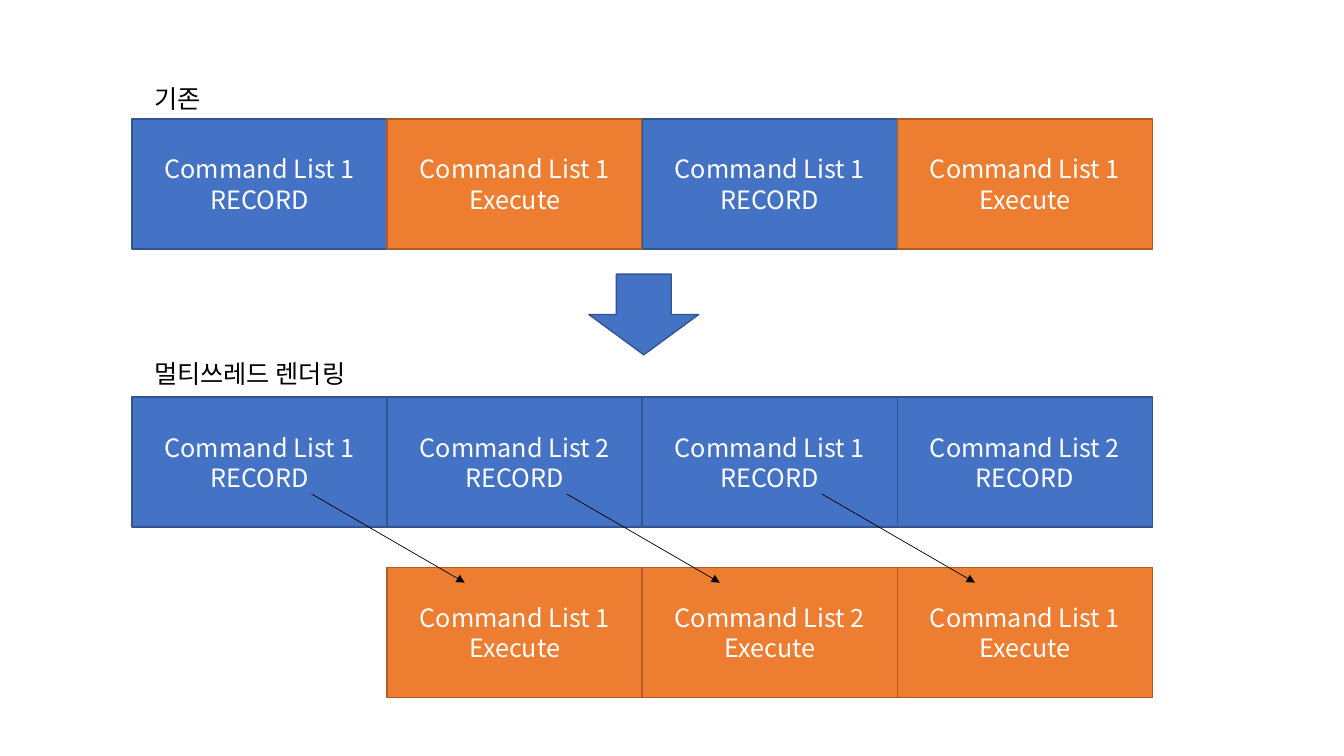
from lxml.etree import SubElement
from pptx import Presentation
from pptx.dml.color import RGBColor
from pptx.enum.shapes import MSO_CONNECTOR, MSO_SHAPE
from pptx.enum.text import MSO_ANCHOR, PP_ALIGN
from pptx.oxml.ns import qn
from pptx.util import Inches, Pt

COLORS = {
    "record": "4472C4", "record_edge": "325491",
    "execute": "ED7D31", "execute_edge": "AF5C24",
    "light": "FFFFFF", "dark": "000000",
}
FONT = "Noto Sans CJK KR"


def color(key):
    return RGBColor.from_string(COLORS[key])


def write(frame, text, size=18, ink="dark", align=PP_ALIGN.LEFT,
          anchor=MSO_ANCHOR.TOP, wrap=True, spacing=21.5):
    frame.word_wrap = wrap
    frame.vertical_anchor = anchor
    frame.text = text
    for paragraph in frame.paragraphs:
        paragraph.alignment = align
        paragraph.line_spacing = Pt(spacing)
        for run in paragraph.runs:
            run.font.name = FONT
            run.font.size = Pt(size)
            run.font.color.rgb = color(ink)
            SubElement(run.font._element, qn("a:ea"), typeface=FONT)


class Diagram:
    """Draws styled elements on the current slide."""

    def __init__(self, slide):
        self.shapes = slide.shapes

    def block(self, kind, left, top, width, height, role, text=""):
        block = self.shapes.add_shape(
            kind, Inches(left), Inches(top), Inches(width), Inches(height))
        block.shadow.inherit = False
        block.fill.solid()
        block.fill.fore_color.rgb = color(role)
        block.line.color.rgb = color(role + "_edge")
        block.line.width = Pt(1)
        if text:
            write(block.text_frame, text, ink="light",
                  align=PP_ALIGN.CENTER, anchor=MSO_ANCHOR.MIDDLE)

    def label(self, left, top, width, height, text):
        label = self.shapes.add_textbox(
            Inches(left), Inches(top), Inches(width), Inches(height))
        write(label.text_frame, text, wrap=False)

    def arrow(self, x1, y1, x2, y2):
        arrow = self.shapes.add_connector(
            MSO_CONNECTOR.STRAIGHT, Inches(x1), Inches(y1), Inches(x2), Inches(y2))
        arrow.line.color.rgb = color("dark")
        arrow.line.width = Pt(0.5)
        SubElement(arrow.line._get_or_add_ln(), qn("a:tailEnd"), type="triangle")
        SubElement(arrow._element.spPr, qn("a:effectLst"))


LEFT, STEP, HEIGHT = 1.31, 2.53, 1.29
ACTIONS = {"record": "RECORD", "execute": "Execute"}
TIMELINES = [
    (1.18, 0, [("record", 1), ("execute", 1), ("record", 1), ("execute", 1)]),
    (3.94, 0, [("record", 1), ("record", 2), ("record", 1), ("record", 2)]),
    (5.63, 1, [("execute", 1), ("execute", 2), ("execute", 1)]),
]

presentation = Presentation()
presentation.slide_width = Inches(13.33)
presentation.slide_height = Inches(7.5)
diagram = Diagram(presentation.slides.add_slide(presentation.slide_layouts[6]))

for top, first_column, commands in TIMELINES:
    for column, (role, number) in enumerate(commands, first_column):
        diagram.block(MSO_SHAPE.RECTANGLE, LEFT + column * STEP, top, STEP, HEIGHT,
                      role, f"Command List {number}\n{ACTIONS[role]}")

diagram.label(1.43, 0.78, 0.71, 0.4, "기존")
diagram.label(1.43, 3.51, 2.31, 0.4, "멀티쓰레드 렌더링")
diagram.block(MSO_SHAPE.DOWN_ARROW, 5.84, 2.72, 1.09, 0.8, "record")

for column in range(3):
    start = LEFT + column * STEP + 1.78
    diagram.arrow(start, 4.9, start + 1.52, 5.78)

presentation.save("out.pptx")
